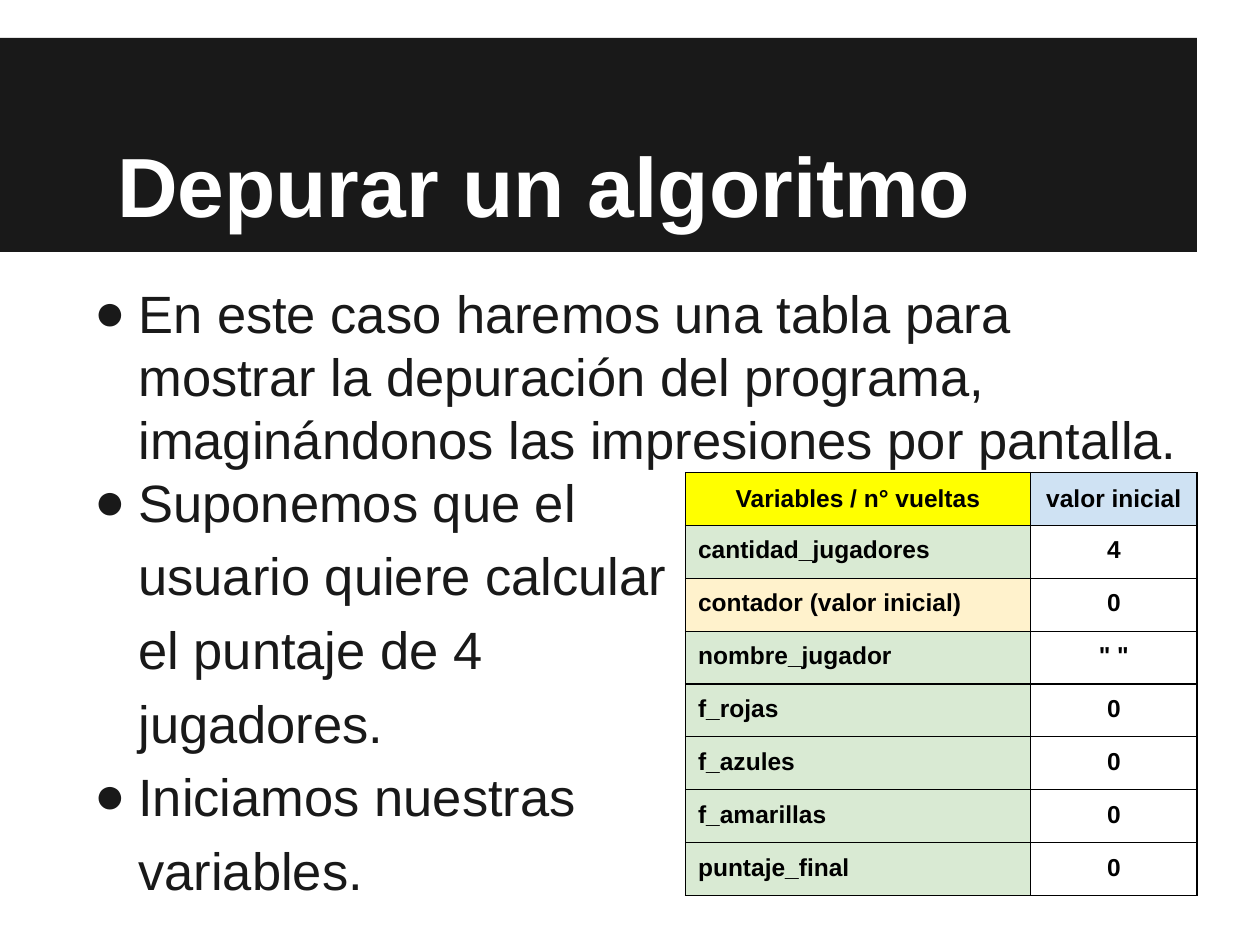
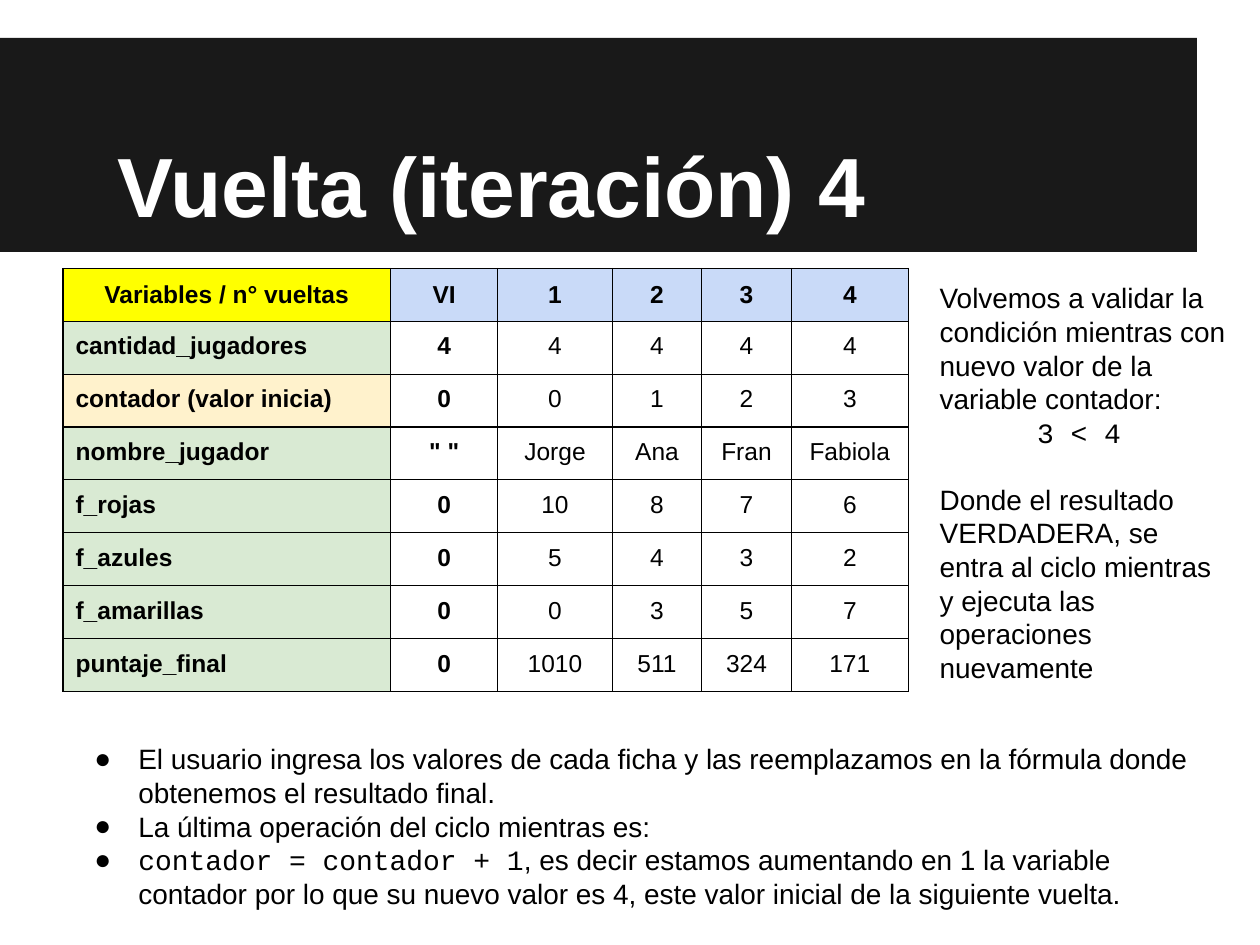
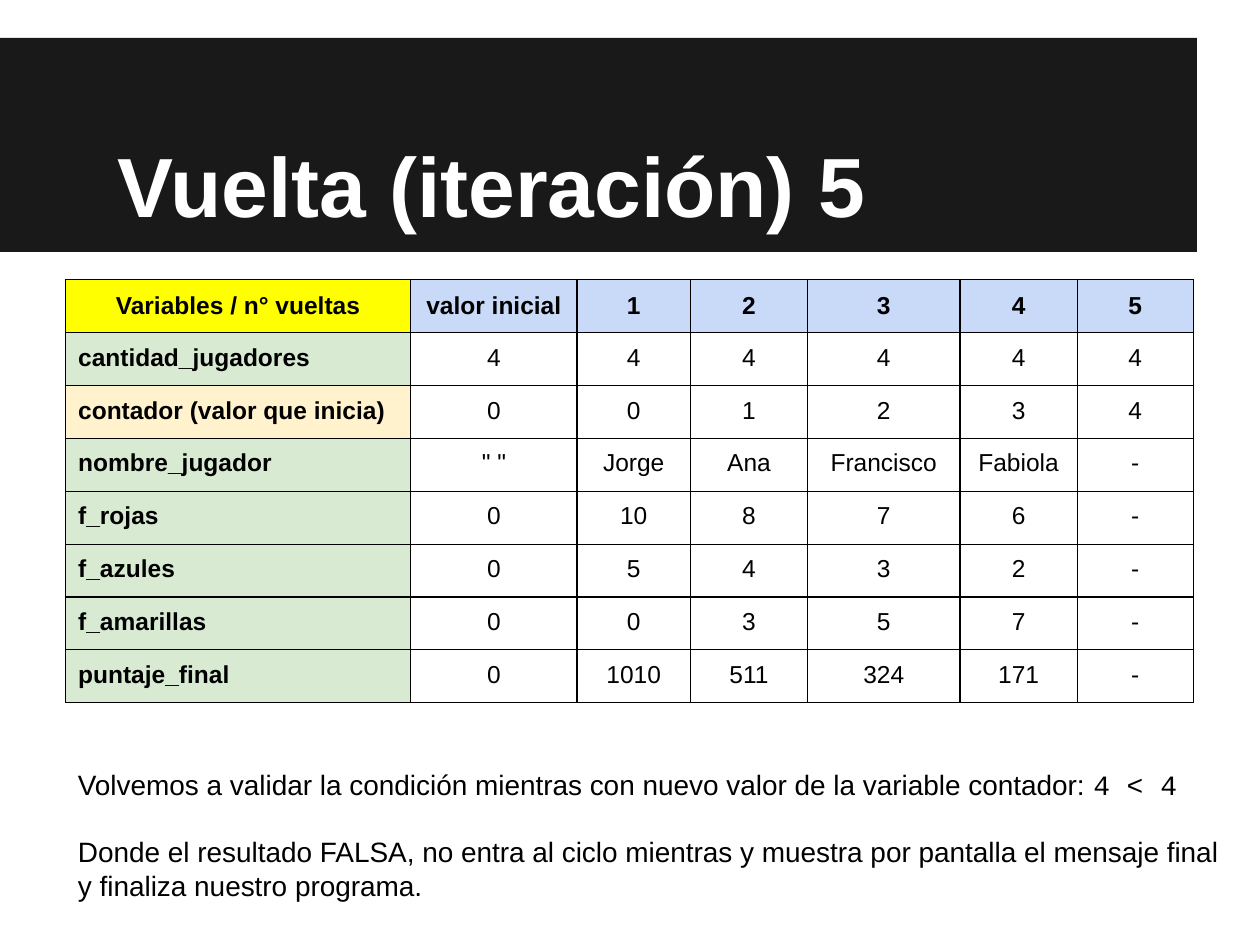
from lxml import etree
from pptx import Presentation, util as u
from pptx.dml.color import RGBColor
from pptx.enum import shapes, text
from pptx.oxml import ns

WIDTH, HEIGHT = u.Inches(10), u.Inches(7.5)
SANS, MONO = "Arial", "Courier New"
INK, BLACK, WHITE = "191919", "000000", "FFFFFF"
YELLOW, GREEN, CREAM = "FFFF00", "D9EAD3", "FFF2CC"
PALE_BLUE, BLUE = "CFE2F3", "C9DAF8"
INSET, CELL_INSET = 0.1, 0.09
ROW_HEIGHT = u.Inches(0.42)
BLANK_LINE = 19.2
CENTER = text.PP_ALIGN.CENTER

VARIABLES = ["cantidad_jugadores", "contador", "nombre_jugador",
             "f_rojas", "f_azules", "f_amarillas", "puntaje_final"]
START = ["4", "0", '" "', "0", "0", "0", "0"]
ROUNDS = [
    ["4", "0", "Jorge", "10", "5", "0", "1010"],
    ["4", "1", "Ana", "8", "4", "3", "511"],
    ["4", "2", "Francisco", "7", "3", "5", "324"],
    ["4", "3", "Fabiola", "6", "2", "7", "171"],
    ["4", "4", "-", "-", "-", "-", "-"],
]


def color(value):
    return RGBColor.from_string(value)


def inches(*values):
    return [u.Inches(value) for value in values]


def set_font(font, size, value, bold=False, name=SANS):
    font.name, font.size, font.bold = name, u.Pt(size), bold
    font.color.rgb = color(value)


def set_insets(target, vertical=INSET):
    target.margin_left = target.margin_right = u.Inches(INSET)
    target.margin_top = target.margin_bottom = u.Inches(vertical)


def set_indent(paragraph, left, first):
    properties = paragraph._p.get_or_add_pPr()
    properties.set("marL", str(u.Inches(left)))
    properties.set("indent", str(u.Inches(first)))
    return properties


def add_bullet(paragraph, value):
    properties = set_indent(paragraph, 0.5, -0.35)
    bullet_color = etree.SubElement(properties, ns.qn("a:buClr"))
    etree.SubElement(bullet_color, ns.qn("a:srgbClr"), val=value)
    etree.SubElement(properties, ns.qn("a:buFont"), typeface=SANS)
    etree.SubElement(properties, ns.qn("a:buChar"), char="●")


def add_band(slide):
    band = slide.shapes.add_shape(
        shapes.MSO_SHAPE.RECTANGLE, 0, *inches(0.3, 9.5, 1.7))
    band.shadow.inherit = False
    band.fill.solid()
    band.fill.fore_color.rgb = color(INK)
    band.line.fill.background()
    slide.slide_layout.placeholders[0].element.addprevious(band.element)


def add_title_slide(presentation, layout, title):
    slide = presentation.slides.add_slide(layout)
    shape = slide.shapes.title
    shape.left, shape.top, shape.width, shape.height = inches(0.5, 0.3, 9, 1.66)
    frame = shape.text_frame
    set_insets(frame)
    frame.word_wrap = True
    frame.auto_size = text.MSO_AUTO_SIZE.NONE
    frame.vertical_anchor = text.MSO_ANCHOR.BOTTOM
    frame.text = title
    paragraph = frame.paragraphs[0]
    set_indent(paragraph, 0, 0.33)
    paragraph.alignment = text.PP_ALIGN.LEFT
    set_font(paragraph.font, 48, WHITE, bold=True)
    return slide


def add_text(slide, box, items, size, value=BLACK):
    frame = slide.shapes.add_textbox(*inches(*box)).text_frame
    frame.word_wrap = True
    set_insets(frame)
    for index, item in enumerate(items):
        paragraph = frame.paragraphs[0] if index == 0 else frame.add_paragraph()
        if item.get("bullet"):
            add_bullet(paragraph, value)
        else:
            set_indent(paragraph, item.get("indent", 0), 0)
        paragraph.alignment = item.get("align", text.PP_ALIGN.LEFT)
        paragraph.space_before = u.Pt(item.get("before", 0))
        set_font(paragraph.font, size, value)
        for words, name in item["runs"]:
            run = paragraph.add_run()
            run.text = words
            run.font.name = name
    return frame


def add_borders(cell):
    properties = cell._tc.get_or_add_tcPr()
    for index, side in enumerate(("a:lnL", "a:lnR", "a:lnT", "a:lnB")):
        line = etree.Element(ns.qn(side), w=str(u.Pt(0.75)))
        fill = etree.SubElement(line, ns.qn("a:solidFill"))
        etree.SubElement(fill, ns.qn("a:srgbClr"), val=BLACK)
        properties.insert(index, line)


def fill_cell(cell, words, fill, bold, centered, header):
    cell.text = words
    set_insets(cell, CELL_INSET)
    cell.vertical_anchor = text.MSO_ANCHOR.MIDDLE if header else text.MSO_ANCHOR.TOP
    cell.fill.solid()
    cell.fill.fore_color.rgb = color(fill)
    paragraph = cell.text_frame.paragraphs[0]
    paragraph.alignment = CENTER if centered else text.PP_ALIGN.LEFT
    set_font(paragraph.font, 14, BLACK, bold)
    add_borders(cell)


def add_trace_table(slide, left, top, widths, headers, counter, columns,
                    header_fill=BLUE, bold_start=True):
    names = [counter if name == "contador" else name for name in VARIABLES]
    rows = [["Variables / n° vueltas", *headers], *zip(names, *columns)]
    frame = slide.shapes.add_table(
        len(rows), len(widths), *inches(left, top, sum(widths)),
        ROW_HEIGHT * len(rows))
    table = frame.table
    table.first_row = table.horz_banding = False
    for column, width in zip(table.columns, widths):
        column.width = u.Inches(width)
    for r, row in enumerate(rows):
        table.rows[r].height = ROW_HEIGHT
        for c, words in enumerate(row):
            header = r == 0
            if header:
                fill = header_fill if c else YELLOW
            elif c == 0:
                fill = CREAM if words == counter else GREEN
            else:
                fill = WHITE
            bold = header or c == 0 or (c == 1 and bold_start)
            fill_cell(table.cell(r, c), words, fill, bold, header or c > 0, header)


def plain(words, **options):
    return {"runs": [(words, SANS)], **options}


def build_start(slide):
    add_text(slide, (0.5, 2.13, 9, 5.05), [
        plain("En este caso haremos una tabla para mostrar la depuración del "
              "programa, imaginándonos las impresiones por pantalla.", bullet=True),
        plain("Suponemos que el", bullet=True),
        plain("usuario quiere calcular", indent=0.5, before=6),
        plain("el puntaje de 4", indent=0.5, before=6),
        plain("jugadores.", indent=0.5, before=6),
        plain("Iniciamos nuestras", bullet=True, before=6),
        plain("variables.", indent=0.5, before=6),
    ], 30, INK)
    add_trace_table(slide, 5.44, 3.75, [2.74, 1.32], ["valor inicial"],
                    "contador (valor inicial)", [START], PALE_BLUE)


def build_round_four(slide):
    add_text(slide, (7.36, 2.13, 2.47, 3.43), [
        plain("Volvemos a validar la condición mientras con nuevo valor de la "
              "variable contador:"),
        {"runs": [("3 < 4", MONO), (" ", SANS)], "align": CENTER},
        plain("Donde el resultado VERDADERA, se entra al ciclo mientras y ejecuta "
              "las operaciones nuevamente", before=BLANK_LINE),
    ], 16)
    rounds = [["Fran" if value == "Francisco" else value for value in column]
              for column in ROUNDS[:4]]
    add_trace_table(slide, 0.5, 2.13, [2.6, 0.85, 0.91, 0.71, 0.71, 0.93],
                    ["VI", "1", "2", "3", "4"], "contador (valor inicia)",
                    [START, *rounds])
    frame = add_text(slide, (0.5, 5.97, 9.05, 1.4), [
        plain("El usuario ingresa los valores de cada ficha y las reemplazamos en "
              "la fórmula donde obtenemos el resultado final.", bullet=True),
        plain("La última operación del ciclo mientras es:", bullet=True),
        {"runs": [("contador = contador + 1", MONO),
                  (", es decir estamos aumentando en 1 la variable contador por lo "
                   "que su nuevo valor es 4, este valor inicial de la siguiente "
                   "vuelta.", SANS)], "bullet": True},
    ], 16)
    frame.vertical_anchor = text.MSO_ANCHOR.MIDDLE
    frame.margin_bottom = u.Inches(0.33)


def build_round_five(slide):
    add_trace_table(slide, 0.52, 2.22, [2.74, 1.32, 0.9, 0.93, 1.21, 0.93, 0.92],
                    ["valor inicial", "1", "2", "3", "4", "5"],
                    "contador (valor que inicia)", [START, *ROUNDS],
                    bold_start=False)
    add_text(slide, (0.52, 5.99, 9.29, 1.3), [
        {"runs": [("Volvemos a validar la condición mientras con nuevo valor de la "
                   "variable contador: ", SANS), ("4 < 4", MONO)]},
        plain("Donde el resultado FALSA, no entra al ciclo mientras y muestra por "
              "pantalla el mensaje final y finaliza nuestro programa.",
              before=BLANK_LINE),
    ], 16)


def main():
    presentation = Presentation()
    presentation.slide_width, presentation.slide_height = WIDTH, HEIGHT
    layout = presentation.slide_layouts.get_by_name("Title Only")
    builders = {
        "Depurar un algoritmo": build_start,
        "Vuelta (iteración) 4": build_round_four,
        "Vuelta (iteración) 5": build_round_five,
    }
    for title, build in builders.items():
        build(add_title_slide(presentation, layout, title))
    add_band(presentation.slides[0])
    presentation.save("out.pptx")


if __name__ == "__main__":
    main()
